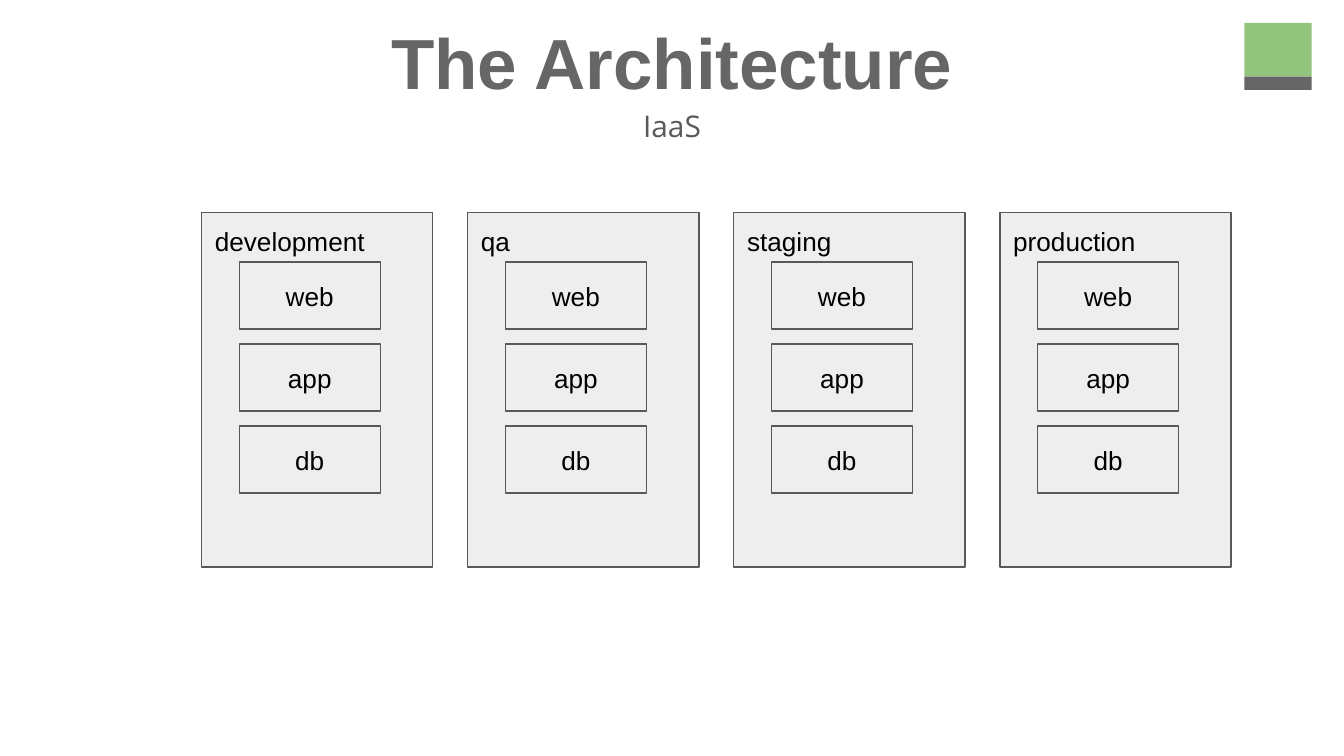
from pptx import Presentation
from pptx.dml.color import RGBColor
from pptx.enum.shapes import MSO_SHAPE
from pptx.enum.text import MSO_ANCHOR, PP_ALIGN
from pptx.util import Inches, Pt

RECTANGLE = MSO_SHAPE.RECTANGLE
TOP, MIDDLE = MSO_ANCHOR.TOP, MSO_ANCHOR.MIDDLE
LEFT, CENTER = PP_ALIGN.LEFT, PP_ALIGN.CENTER

GREEN = RGBColor(0x93, 0xC4, 0x7D)
GRAY = RGBColor(0x66, 0x66, 0x66)
DARK_GRAY = RGBColor(0x59, 0x59, 0x59)
PALE_GRAY = RGBColor(0xEE, 0xEE, 0xEE)
BLACK = RGBColor(0, 0, 0)

WIDTH = 10
HEIGHT = WIDTH * 9 / 16
ENVIRONMENTS = ["development", "qa", "staging", "production"]
TIERS = ["web", "app", "db"]

# Environment columns and the tier rows inside them, in inches
ENV_LEFT, ENV_TOP, ENV_PITCH = 1.5, 1.58, 1.98
ENV_WIDTH, ENV_HEIGHT = 1.72, 2.64
TIER_INDENT, TIER_DROP, TIER_PITCH = 0.28, 0.37, 0.61
TIER_WIDTH, TIER_HEIGHT = 1.05, 0.5


def write(shape, text, *, size=14, font="Arial", color=BLACK, bold=False,
          align=LEFT, anchor=TOP, line_spacing=None, space_after=None):
    frame = shape.text_frame
    frame.word_wrap = True
    frame.vertical_anchor = anchor
    frame.margin_left = frame.margin_right = Inches(0.1)
    frame.margin_top = frame.margin_bottom = Inches(0.1)
    paragraph = frame.paragraphs[0]
    paragraph.alignment = align
    if line_spacing:
        paragraph.line_spacing = line_spacing
    if space_after:
        paragraph.space_after = Pt(space_after)
    run = paragraph.add_run()
    run.text = text
    run.font.size = Pt(size)
    run.font.name = font
    run.font.bold = bold
    run.font.color.rgb = color


def add_box(shapes, left, top, width, height, fill, outline=None):
    box = shapes.add_shape(RECTANGLE, *map(Inches, (left, top, width, height)))
    box.shadow.inherit = False
    box.fill.solid()
    box.fill.fore_color.rgb = fill
    if outline is None:
        box.line.fill.background()
    else:
        box.line.color.rgb = outline
        box.line.width = Pt(0.75)
    return box


def add_heading(shapes, text, top, width, height, **text_format):
    """Add a text box centred across the slide."""
    left = (WIDTH - width) / 2
    heading = shapes.add_textbox(*map(Inches, (left, top, width, height)))
    write(heading, text, align=CENTER, **text_format)


def add_corner_mark(shapes):
    add_box(shapes, 9.26, 0.17, 0.5, 0.4, GREEN)
    add_box(shapes, 9.26, 0.57, 0.5, 0.1, GRAY)


def add_environment(shapes, name, column):
    """Add one grouped environment panel with its stack of tiers."""
    group = shapes.add_group_shape().shapes
    left = ENV_LEFT + column * ENV_PITCH
    panel = add_box(group, left, ENV_TOP, ENV_WIDTH, ENV_HEIGHT,
                    PALE_GRAY, DARK_GRAY)
    write(panel, name)
    for row, tier in enumerate(TIERS):
        top = ENV_TOP + TIER_DROP + row * TIER_PITCH
        box = add_box(group, left + TIER_INDENT, top, TIER_WIDTH, TIER_HEIGHT,
                      PALE_GRAY, DARK_GRAY)
        write(box, tier, align=CENTER, anchor=MIDDLE)


def main():
    presentation = Presentation()
    presentation.slide_width = Inches(WIDTH)
    presentation.slide_height = Inches(HEIGHT)
    slide = presentation.slides.add_slide(presentation.slide_layouts[6])
    shapes = slide.shapes

    add_corner_mark(shapes)
    add_heading(shapes, "The Architecture", 0.04, 9.32, 0.63,
                size=38, color=GRAY, bold=True)
    add_heading(shapes, "IaaS", 0.66, 5.08, 0.27, size=16, font="Open Sans",
                color=DARK_GRAY, line_spacing=1.15, space_after=16)
    for column, name in enumerate(ENVIRONMENTS):
        add_environment(shapes, name, column)

    presentation.save("out.pptx")


if __name__ == "__main__":
    main()
